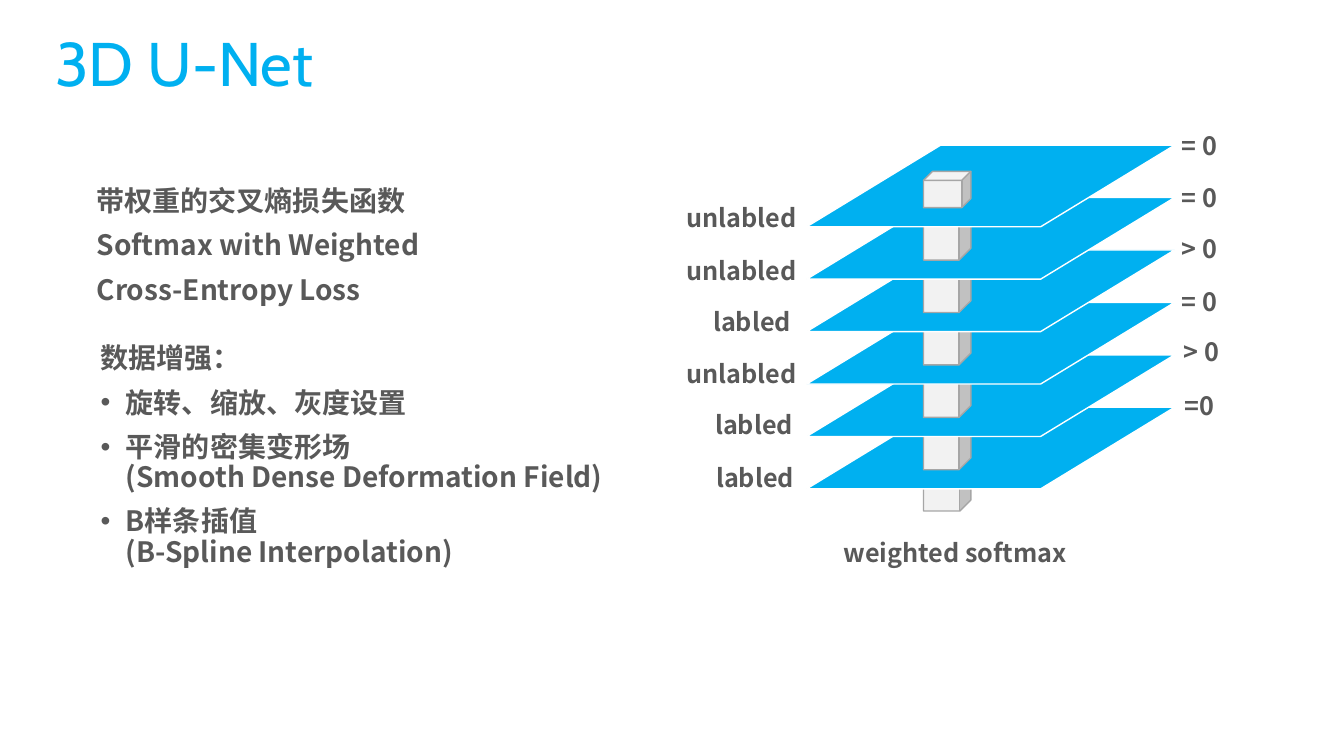
from lxml import etree
from pptx import Presentation
from pptx.dml.color import RGBColor
from pptx.enum.shapes import MSO_SHAPE
from pptx.enum.text import MSO_ANCHOR, MSO_AUTO_SIZE, PP_ALIGN
from pptx.oxml.ns import qn
from pptx.util import Inches, Pt

CUBE, SHEET = MSO_SHAPE.CUBE, MSO_SHAPE.PARALLELOGRAM
LEFT, RIGHT = PP_ALIGN.LEFT, PP_ALIGN.RIGHT
TOP, MIDDLE = MSO_ANCHOR.TOP, MSO_ANCHOR.MIDDLE
GROW = MSO_AUTO_SIZE.SHAPE_TO_FIT_TEXT

BLUE = RGBColor(0x00, 0xB0, 0xF0)
WHITE = RGBColor(0xFF, 0xFF, 0xFF)
TEXT_GRAY = RGBColor(0x59, 0x59, 0x59)
CUBE_FILL = RGBColor(0xF2, 0xF2, 0xF2)
CUBE_LINE = RGBColor(0xA6, 0xA6, 0xA6)

LOSS_LINES = ["带权重的交叉熵损失函数", "Softmax with Weighted", "Cross-Entropy Loss"]
AUGMENTATIONS = [
    ["旋转、缩放、灰度设置"],
    ["平滑的密集变形场", "(Smooth Dense Deformation Field)"],
    ["B样条插值", "(B-Spline Interpolation)"],
]
# Label, weight, left and top of the label, from the top sheet down
SLICES = [
    ("unlabled ", "= 0", 6.69, 1.96),
    ("unlabled ", "= 0", 6.69, 2.48),
    ("labled ", "> 0", 6.69, 2.99),
    ("unlabled ", "= 0", 6.69, 3.51),
    ("labled ", "> 0", 6.71, 4.01),
    ("labled ", "=0", 6.72, 4.54),
]
WEIGHT_RIGHT, WEIGHT_UP = 4.93, 0.72
SHEET_TOP, SHEET_PITCH = 1.44, 0.52
CUBE_LEFT, CUBE_WIDTH = 9.16, 0.47


class SlideBuilder:
    title_font = "Cabin"
    body_font = "Noto Sans CJK SC"

    def __init__(self, slide):
        self.slide = slide

    def text_box(self, left, top, width, height, anchor=TOP):
        box = self.slide.shapes.add_textbox(
            Inches(left), Inches(top), Inches(width), Inches(height))
        box.text_frame.word_wrap = True
        box.text_frame.vertical_anchor = anchor
        return box.text_frame

    def span(self, para, text, size, font, color, bold):
        span = para.add_run()
        span.text = text
        span.font.size = Pt(size)
        span.font.name = font
        span.font.bold = bold
        span.font.color.rgb = color
        east_asian = etree.SubElement(span.font._element, qn("a:ea"))
        east_asian.set("typeface", font)

    def title(self, text):
        frame = self.text_box(0.45, 0.19, 3.33, 0.94, MIDDLE)
        para = frame.paragraphs[0]
        para.line_spacing = 0.9
        self.span(para, text, 44, self.title_font, BLUE, False)

    def body_para(self, frame, lines, bullet=False):
        """Fill the first paragraph if it is empty, otherwise append one."""
        first = frame.paragraphs[0]
        para = frame.add_paragraph() if first.runs else first
        para.line_spacing = 0.9
        para.space_before = Pt(10)
        if bullet:
            properties = para._p.get_or_add_pPr()
            properties.set("marL", str(Inches(0.25)))
            properties.set("indent", str(-Inches(0.25)))
            font = etree.SubElement(properties, qn("a:buFont"))
            font.set("typeface", "Arial")
            etree.SubElement(properties, qn("a:buChar")).set("char", "•")
        for index, line in enumerate(lines):
            if index:
                para.add_line_break()
            self.span(para, line, 20, self.body_font, TEXT_GRAY, True)

    def label(self, text, left, top, width=1.31, align=LEFT):
        frame = self.text_box(left, top, width, 0.4)
        frame.auto_size = GROW
        para = frame.paragraphs[0]
        para.alignment = align
        self.span(para, text, 18, self.body_font, TEXT_GRAY, True)

    def solid(self, kind, left, top, width, height, fill, line):
        shape = self.slide.shapes.add_shape(
            kind, Inches(left), Inches(top), Inches(width), Inches(height))
        shape.shadow.inherit = False
        shape.fill.solid()
        shape.fill.fore_color.rgb = fill
        shape.line.color.rgb = line
        shape.line.width = Pt(1)
        return shape

    def cube(self, top, height):
        self.solid(CUBE, CUBE_LEFT, top, CUBE_WIDTH, height, CUBE_FILL, CUBE_LINE)

    def sheet(self, top):
        sheet = self.solid(SHEET, 8, top, 3.65, 0.81, BLUE, WHITE)
        sheet.adjustments[0] = 1.641


def main():
    deck = Presentation()
    deck.slide_width, deck.slide_height = Inches(13.33), Inches(7.5)
    page = SlideBuilder(deck.slides.add_slide(deck.slide_layouts[6]))

    loss = page.text_box(0.86, 1.81, 5.25, 1.29)
    for line in LOSS_LINES:
        page.body_para(loss, [line])
    page.title("3D U-Net")

    # The stack is built from the bottom up, so each sheet covers the cube below
    page.cube(4.63, 0.44)
    for level in reversed(range(len(SLICES))):
        top = SHEET_TOP + level * SHEET_PITCH
        page.sheet(top)
        if level:
            page.cube(top + 0.07, 0.55)
    page.cube(1.7, 0.36)

    page.label("weighted softmax", 8.27, 5.28, 2.71)
    for name, weight, left, top in SLICES:
        page.label(name, left, top, align=RIGHT)
        page.label(weight, left + WEIGHT_RIGHT, top - WEIGHT_UP)

    augmentation = page.text_box(0.9, 3.37, 5.25, 2.6)
    page.body_para(augmentation, ["数据增强："])
    for lines in AUGMENTATIONS:
        page.body_para(augmentation, lines, bullet=True)

    deck.save("out.pptx")


if __name__ == "__main__":
    main()
